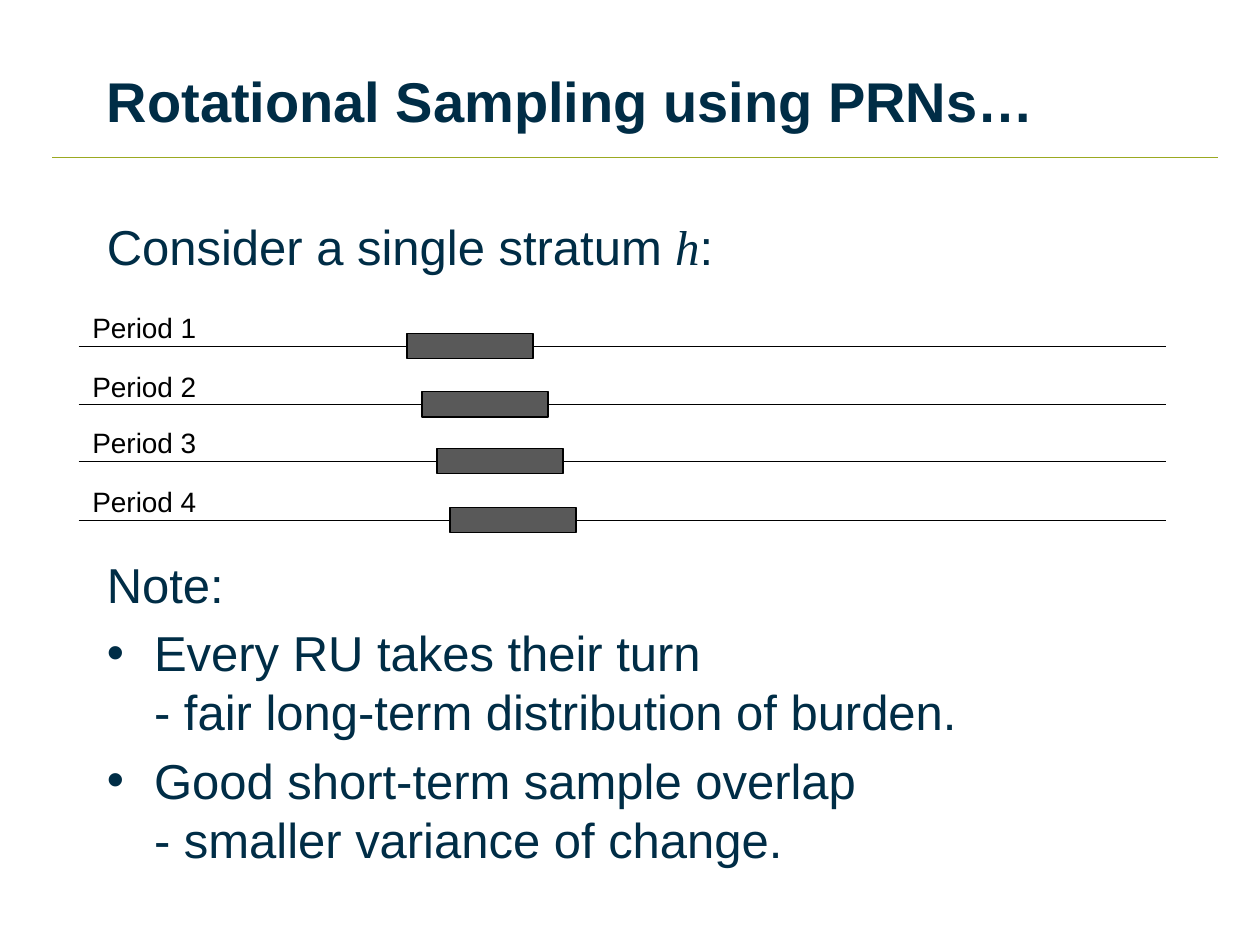
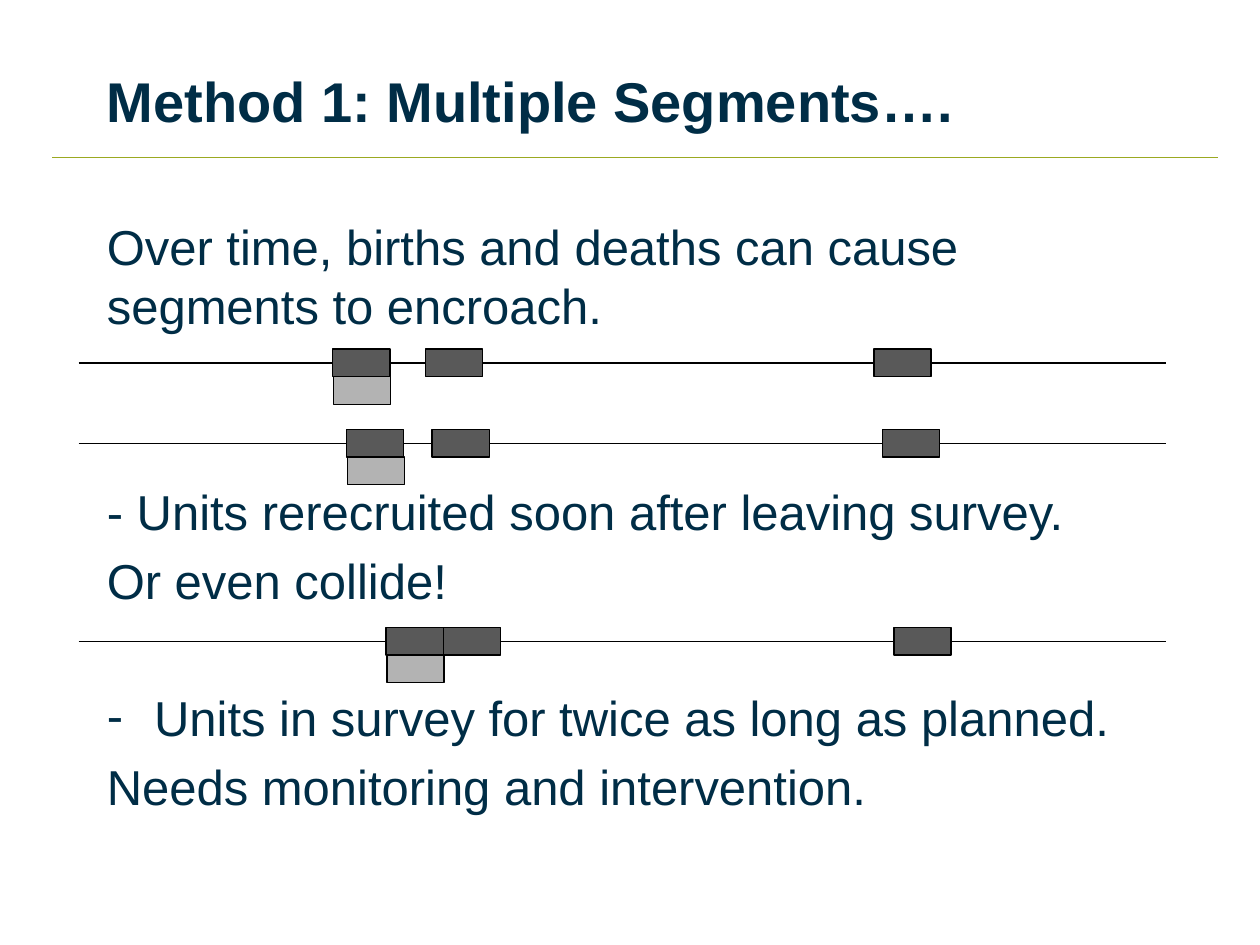
from lxml import etree
from pptx import Presentation
from pptx.dml.color import RGBColor
from pptx.enum import shapes, text
from pptx.oxml.ns import qn
from pptx.util import Pt

NAVY = RGBColor(0x00, 0x2D, 0x46)
OLIVE = RGBColor(0x9B, 0xA9, 0x21)
BLACK = RGBColor(0, 0, 0)
DARK_GREY = RGBColor(0x59, 0x59, 0x59)
LIGHT_GREY = RGBColor(0xB3, 0xB3, 0xB3)

TITLE = {"name": "Arial", "size": Pt(32), "bold": True}
BODY = {"name": "Arial", "size": Pt(28)}
LABEL = {"name": "Arial", "size": Pt(16)}
VARIABLE = {"name": "Times New Roman", "italic": True}

TEXT_LEFT, TEXT_WIDTH = 54, 612
AXIS_LEFT, AXIS_RIGHT = 45, 666
INDENT = 27

# Text blocks: top, height, paragraphs as (bullet, wording); *…* marks a variable.
ROTATION = {
    "title": "Rotational Sampling using PRNs…",
    "blocks": [
        (120.24, 42.5, [("", "Consider a single stratum *h*:")]),
        (313.2, 167, [
            ("", "Note:"),
            ("•", "Every RU takes their turn\n- fair long-term distribution of burden."),
            ("•", "Good short-term sample overlap\n- smaller variance of change."),
        ]),
    ],
    # label, axis height, left edge of the selected interval
    "periods": [
        ("Period 1", 198, 232.6),
        ("Period 2", 231.3, 241.2),
        ("Period 3", 263.6, 249.8),
        ("Period 4", 297.4, 257.2),
    ],
}

SEGMENTS = {
    "title": "Method 1: Multiple Segments….",
    "blocks": [
        (120.24, 76, [("", "Over time, births and deaths can cause segments to encroach.")]),
        (271.6, 80, [("", "- Units rerecruited soon after leaving survey."),
                     ("", "Or even collide!")]),
        (389.4, 80, [("-", "Units in survey for twice as long as planned."),
                     ("", "Needs monitoring and intervention.")]),
    ],
    # axis height, left edges of the three segments
    "axes": [
        (207.4, (190.2, 243.2, 499.4)),
        (253.3, (198, 246.9, 504.4)),
        (366.4, (220.6, 253.4, 510.8)),
    ],
}


def style(span, color, *formats):
    for values in formats:
        for name, value in values.items():
            setattr(span.font, name, value)
    span.font.color.rgb = color


def set_bullet(para, character):
    props = para._p.get_or_add_pPr()
    props.set("marL", str(Pt(INDENT)))
    props.set("indent", str(-Pt(INDENT)))
    etree.SubElement(props, qn("a:buFont"), typeface="Arial")
    etree.SubElement(props, qn("a:buChar"), char=character)


def add_text(page, left, top, width, height, paragraphs, look, color=NAVY,
             anchor=text.MSO_ANCHOR.TOP, gap=0.2):
    """Text box whose paragraphs are spaced by a share of the text size."""
    box = page.shapes.add_textbox(Pt(left), Pt(top), Pt(width), Pt(height))
    frame = box.text_frame
    frame.word_wrap = True
    frame.vertical_anchor = anchor
    for number, (bullet, wording) in enumerate(paragraphs):
        para = frame.add_paragraph() if number else frame.paragraphs[0]
        para.space_before = Pt(look["size"].pt * gap)
        if bullet:
            set_bullet(para, bullet)
        for part, piece in enumerate(wording.split("*")):
            extra = VARIABLE if part % 2 else {}
            for row, line in enumerate(piece.split("\n")):
                if row:
                    para.add_line_break()
                span = para.add_run()
                span.text = line
                style(span, color, look, extra)


def add_line(page, left, right, y, color=BLACK):
    line = page.shapes.add_connector(
        shapes.MSO_CONNECTOR.STRAIGHT, Pt(left), Pt(y), Pt(right), Pt(y))
    line.line.color.rgb = color
    line.line.width = Pt(0.75)
    etree.SubElement(line._element.spPr, qn("a:effectLst"))


def add_bar(page, left, top, width, height, fill=DARK_GREY):
    bar = page.shapes.add_shape(
        shapes.MSO_SHAPE.RECTANGLE, Pt(left), Pt(top), Pt(width), Pt(height))
    bar.shadow.inherit = False
    bar.fill.solid()
    bar.fill.fore_color.rgb = fill
    bar.line.color.rgb = BLACK
    bar.line.width = Pt(0.75)


def add_page(deck, content):
    """Slide with the shared rule, title and text blocks."""
    page = deck.slides.add_slide(deck.slide_layouts[6])
    add_line(page, 30, 696, 90, OLIVE)
    add_text(page, TEXT_LEFT, 12.24, TEXT_WIDTH, 90, [("", content["title"])],
             TITLE, anchor=text.MSO_ANCHOR.MIDDLE, gap=0)
    for top, height, paragraphs in content["blocks"]:
        add_text(page, TEXT_LEFT, top, TEXT_WIDTH, height, paragraphs, BODY)
    return page


def draw_periods(page, periods):
    for label, y, left in periods:
        add_line(page, AXIS_LEFT, AXIS_RIGHT, y)
        add_text(page, AXIS_LEFT + 0.7, y - 23.8, 84, 23.8, [("", label)], LABEL, BLACK)
        add_bar(page, left, y - 7.5, 72, 14.6)


def draw_segments(page, axes):
    width, height = 32.7, 15.8
    for y, lefts in axes:
        add_line(page, AXIS_LEFT, AXIS_RIGHT, y)
        for left in lefts:
            add_bar(page, left, y - height / 2, width, height)
        add_bar(page, lefts[0] + 0.5, y + height / 2, width, height, LIGHT_GREY)


def main():
    deck = Presentation()
    deck.slide_width, deck.slide_height = Pt(720), Pt(540)
    draw_periods(add_page(deck, ROTATION), ROTATION["periods"])
    draw_segments(add_page(deck, SEGMENTS), SEGMENTS["axes"])
    deck.save("out.pptx")


if __name__ == "__main__":
    main()
